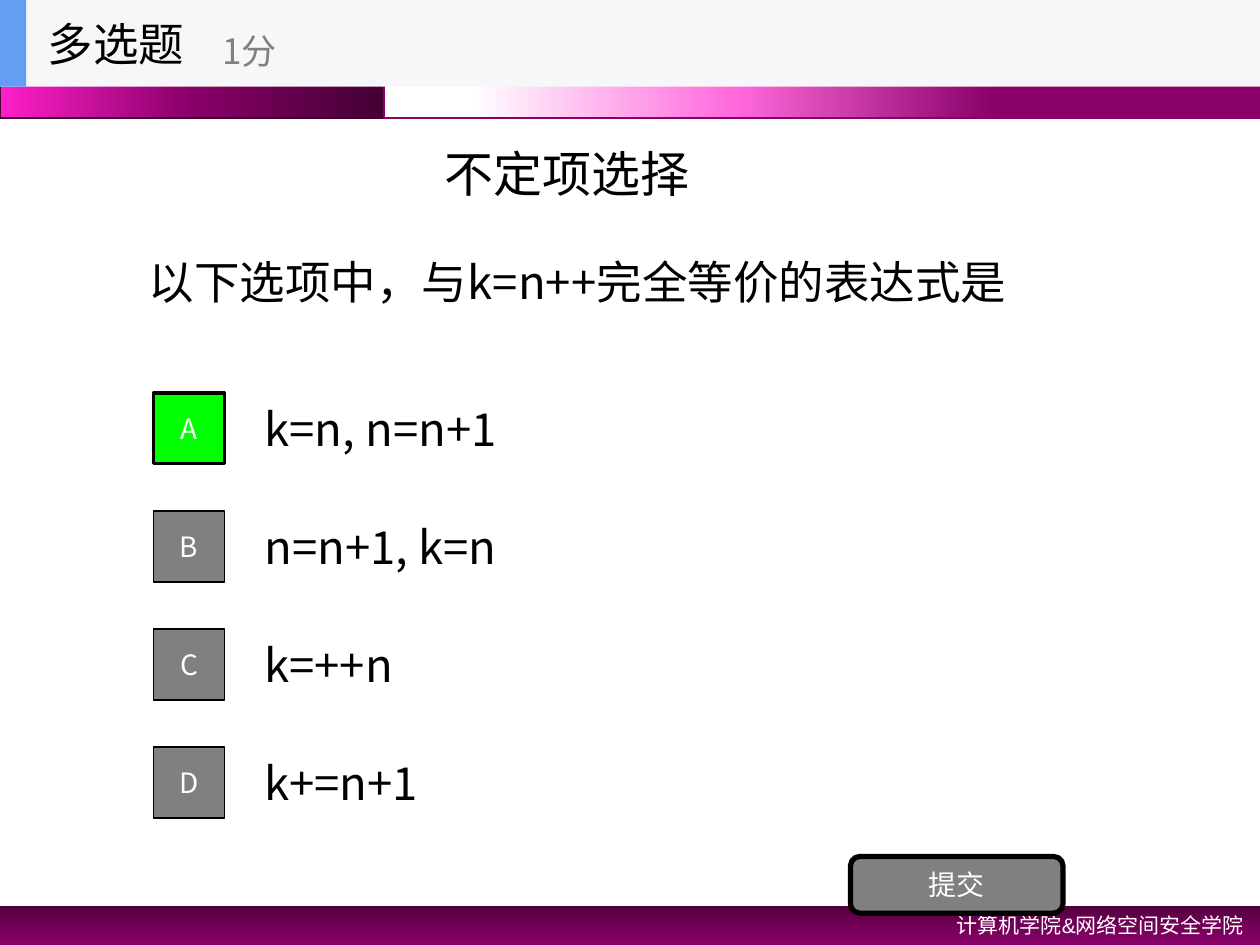
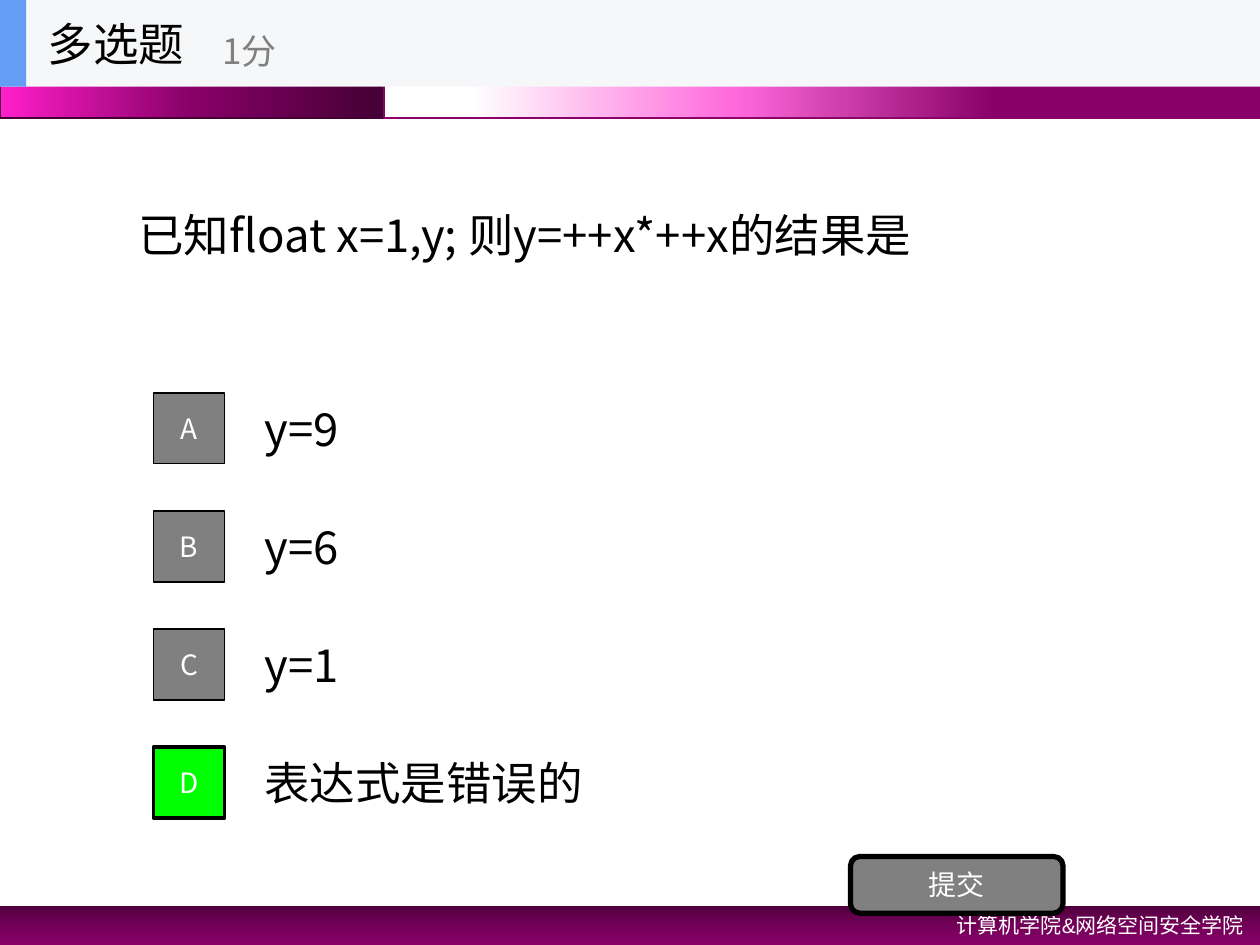
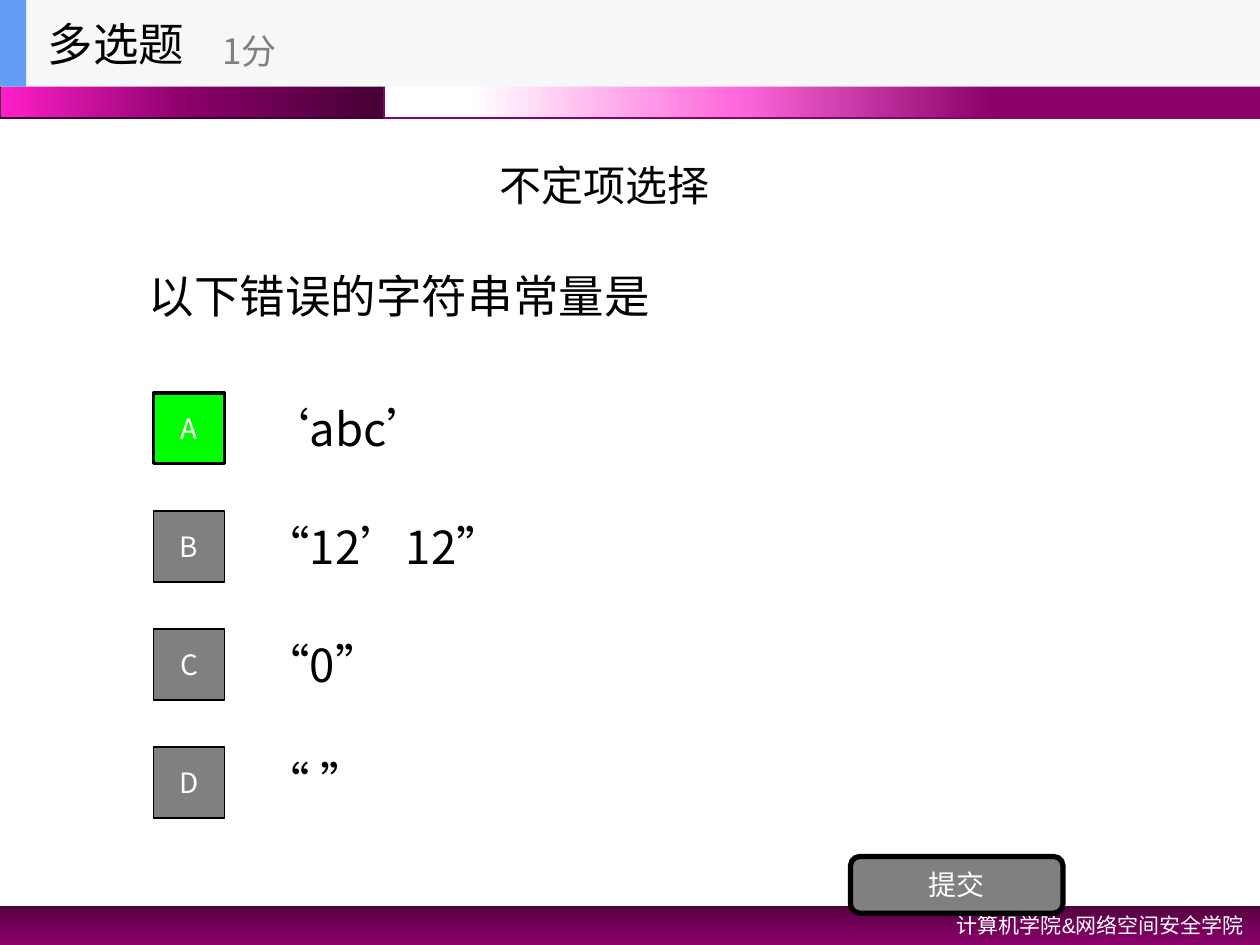
"""Build three multiple-choice quiz slides with a shared header, bands and footer."""
from copy import deepcopy

from lxml import etree
from pptx import Presentation
from pptx.dml.color import RGBColor
from pptx.enum.shapes import MSO_SHAPE
from pptx.enum.text import MSO_ANCHOR, PP_ALIGN
from pptx.oxml.ns import qn
from pptx.util import Pt

RECTANGLE = MSO_SHAPE.RECTANGLE
ROUNDED = MSO_SHAPE.ROUNDED_RECTANGLE
TOP, MIDDLE = MSO_ANCHOR.TOP, MSO_ANCHOR.MIDDLE
LEFT, CENTER, RIGHT = PP_ALIGN.LEFT, PP_ALIGN.CENTER, PP_ALIGN.RIGHT

BLACK = RGBColor(0x00, 0x00, 0x00)
WHITE = RGBColor(0xFF, 0xFF, 0xFF)
GRAY = RGBColor(0x80, 0x80, 0x80)
GREEN = RGBColor(0x00, 0xFF, 0x00)
BLUE = RGBColor(0x63, 0x9E, 0xF4)
PALE_GRAY = RGBColor(0xF6, 0xF7, 0xF8)
DARK_PLUM = RGBColor(0x44, 0x00, 0x34)
DEEP_PLUM = RGBColor(0x51, 0x00, 0x3E)
MID_PLUM = RGBColor(0x73, 0x00, 0x58)
PLUM = RGBColor(0x88, 0x00, 0x68)
MAGENTA = RGBColor(0xFF, 0x1F, 0xCA)
PINK = RGBColor(0xFF, 0x69, 0xDC)

CJK_FONT = "Noto Sans CJK SC"
LATIN_FONT = "Arial"

SLIDE_WIDTH, SLIDE_HEIGHT = 720, 540
HEADER_HEIGHT = 49.5
BAND_HEIGHT = 67.5
BAND_SPLIT = 219.6
FOOTER_TOP = 517.7
OPTION_TOP, OPTION_PITCH, OPTION_HEIGHT = 219.4, 67.5, 50.6
BADGE_LEFT, BADGE_SIZE = 87.75, 40.5

QUESTIONS = [
    {
        "question": "以下选项中，与k=n++完全等价的表达式是",
        "place": (78, 76.5),
        "options": ["k=n, n=n+1", "n=n+1, k=n", "k=++n", "k+=n+1"],
        "answers": "A",
        "heading": {"place": (247, 78.5, 278, 41), "size": 28},
    },
    {
        "question": "已知float x=1,y; 则y=++x*++x的结果是",
        "place": (72, 49.5),
        "options": ["y=9", "y=6", "y=1", "表达式是错误的"],
        "answers": "D",
    },
    {
        "question": "以下错误的字符串常量是",
        "place": (78, 84.5),
        "options": ["‘abc’", "“12’12”", "“0”", "“ ”"],
        "answers": "A",
        "heading": {"place": (278.6, 87.8, 181.4, 36), "size": 24},
    },
]


def write_text(shape, text, size=26, color=BLACK, font_name=CJK_FONT,
               align=LEFT, anchor=MIDDLE, wrap=True):
    """Put one formatted line of text into a shape."""
    frame = shape.text_frame
    frame.word_wrap = wrap
    frame.vertical_anchor = anchor
    paragraph = frame.paragraphs[0]
    paragraph.alignment = align
    run = paragraph.add_run()
    run.text = text
    run.font.size = Pt(size)
    run.font.color.rgb = color
    run.font.name = font_name
    east_asian = etree.SubElement(run.font._element, qn("a:ea"))
    east_asian.set("typeface", CJK_FONT)


def add_text(shapes, place, text, **text_format):
    """Add a text box at (left, top, width, height)."""
    box = shapes.add_textbox(*map(Pt, place))
    write_text(box, text, **text_format)


def add_box(shapes, place, fill=None, line=None, line_width=1, kind=RECTANGLE):
    """Add a flat preset shape with an optional fill and outline."""
    shape = shapes.add_shape(kind, *map(Pt, place))
    shape.shadow.inherit = False
    if fill is not None:
        shape.fill.solid()
        shape.fill.fore_color.rgb = fill
    if line is None:
        shape.line.fill.background()
    else:
        shape.line.color.rgb = line
        shape.line.width = Pt(line_width)
    return shape


def add_gradient_band(shapes, place, stops, angle, line=None):
    """Add a rectangle with a linear gradient of (position, colour) stops."""
    fill = add_box(shapes, place, line=line).fill
    fill.gradient()
    fill.gradient_angle = angle
    stop_list = fill._xPr.find(qn("a:gradFill")).find(qn("a:gsLst"))
    while len(stop_list) < len(stops):
        stop_list.append(deepcopy(stop_list[0]))
    for gradient_stop, (position, color) in zip(fill.gradient_stops, stops):
        gradient_stop.position = position
        gradient_stop.color.rgb = color


def add_bands(shapes):
    """Draw the top bands and the footer with the school names."""
    add_gradient_band(
        shapes, (0, FOOTER_TOP, SLIDE_WIDTH, SLIDE_HEIGHT - FOOTER_TOP),
        [(0, DEEP_PLUM), (0.5, MID_PLUM), (1, PLUM)], 270)
    add_gradient_band(
        shapes, (0, 0, BAND_SPLIT, BAND_HEIGHT),
        [(0, DARK_PLUM), (0.5, PLUM), (1, MAGENTA)], 180, line=DARK_PLUM)
    add_gradient_band(
        shapes, (BAND_SPLIT, 0, SLIDE_WIDTH - BAND_SPLIT, BAND_HEIGHT),
        [(0.3, PLUM), (0.6, PINK), (0.9, WHITE)], 180, line=PLUM)
    add_text(shapes, (462.2, FOOTER_TOP, 255.6, 21.6), "计算机学院&网络空间安全学院",
             size=12, color=WHITE, font_name=LATIN_FONT, align=RIGHT, anchor=TOP)


def add_option(shapes, index, text, correct):
    """Add one answer row: its text and its lettered badge."""
    top = OPTION_TOP + index * OPTION_PITCH
    add_text(shapes, (144, top, 504, OPTION_HEIGHT), text)
    badge_top = top + (OPTION_HEIGHT - BADGE_SIZE) / 2
    badge = add_box(shapes, (BADGE_LEFT, badge_top, BADGE_SIZE, BADGE_SIZE),
                    fill=GREEN if correct else GRAY, line=BLACK,
                    line_width=2 if correct else 1)
    write_text(badge, "ABCD"[index], size=16, color=WHITE, align=CENTER)


def add_submit_button(shapes):
    """Add the submit button."""
    button = add_box(shapes, (486, 489.4, 121.5, 32.4), fill=GRAY,
                     line=BLACK, line_width=3, kind=ROUNDED)
    write_text(button, "提交", size=16, color=WHITE, align=CENTER)


def add_header(shapes):
    """Add the grouped header with question type and score."""
    group = shapes.add_group_shape().shapes
    add_box(group, (0, 0, SLIDE_WIDTH, HEADER_HEIGHT), fill=PALE_GRAY)
    add_box(group, (0, 0, 15, HEADER_HEIGHT), fill=BLUE)
    add_text(group, (20.25, 0, 150, HEADER_HEIGHT), "多选题", wrap=False)
    add_text(group, (120, 8.6, 180, 40.5), "1分", size=20, color=GRAY, wrap=False)


def add_question_slide(presentation, question, place, options, answers, heading=None):
    """Add one complete question slide."""
    slide = presentation.slides.add_slide(presentation.slide_layouts[6])
    shapes = slide.shapes
    add_bands(shapes)
    add_text(shapes, (*place, 576, 168.75), question)
    for index, option in enumerate(options):
        add_option(shapes, index, option, "ABCD"[index] in answers)
    add_submit_button(shapes)
    if heading:
        add_text(shapes, heading["place"], "不定项选择", size=heading["size"],
                 font_name=LATIN_FONT, anchor=TOP)
    add_header(shapes)


def main():
    """Build and save the presentation."""
    presentation = Presentation()
    presentation.slide_width = Pt(SLIDE_WIDTH)
    presentation.slide_height = Pt(SLIDE_HEIGHT)
    for content in QUESTIONS:
        add_question_slide(presentation, **content)
    presentation.save("out.pptx")


if __name__ == "__main__":
    main()
